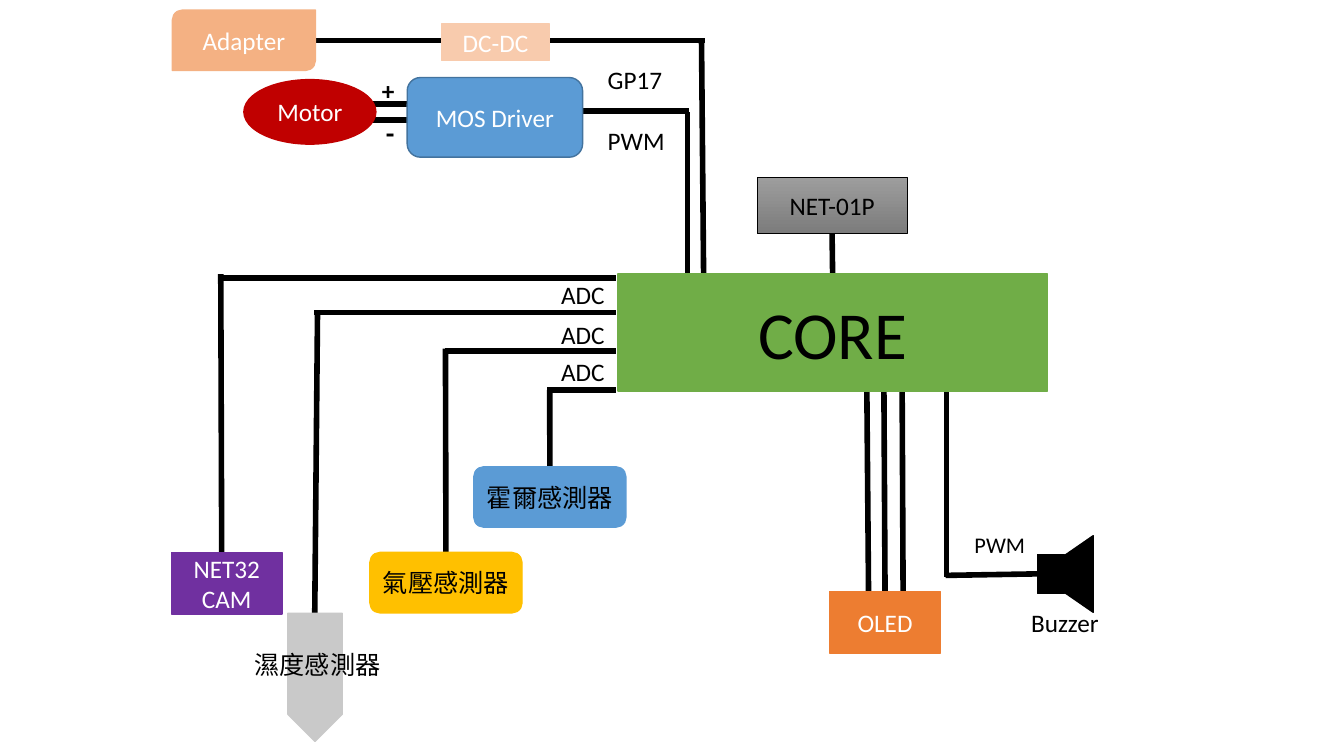
"""Draw the wiring diagram of a sensor board on one slide."""
from typing import NamedTuple

import lxml.etree
import pptx
import pptx.dml.color
import pptx.enum.shapes
import pptx.enum.text
import pptx.oxml.ns
import pptx.util

Pt = pptx.util.Pt
KIND = pptx.enum.shapes.MSO_SHAPE
ALIGN = pptx.enum.text.PP_ALIGN
BLACK, WHITE = "000000", "FFFFFF"


class Wire(NamedTuple):
    x1: float
    y1: float
    x2: float
    y2: float
    start: str = ""
    end: str = ""


class Part(NamedTuple):
    text: str
    kind: KIND
    left: float
    top: float
    width: float
    height: float
    fill: str
    ink: str = WHITE
    edge: str = ""
    turn: int = 0
    size: int = 18
    thick: float = 1
    fade: str = ""


class Label(NamedTuple):
    text: str
    left: float
    top: float
    width: float
    height: float
    size: int = 18
    bold: bool = False
    align: ALIGN = ALIGN.LEFT
    gap: float = 0
    wrap: bool = False


WIRES = [
    Wire(265, 85.7, 296, 85.7),
    Wire(263.5, 74.2, 295.2, 74.2),
    Wire(440, 223.2, 224.6, 223.2),
    Wire(440, 250.6, 318.2, 250.6),
    Wire(620.4, 422.6, 619.2, 280),
    Wire(632.2, 422.6, 631.4, 280, start="OLED"),
    Wire(645.1, 422.6, 644.4, 280),
    Wire(676.1, 411.8, 676.1, 279.4),
    Wire(675.4, 411, 753.8, 409.7),
    Wire(440, 278.6, 391, 278.6),
    Wire(392.7, 333.4, 392.7, 278.6, start="霍爾感測器"),
    Wire(318.5, 394.6, 318.2, 249.1, start="氣壓感測器"),
    Wire(224.6, 463.7, 226.8, 223.2),
    Wire(594.7, 195.8, 594.4, 167, start="CORE", end="NET-01P"),
    Wire(158.4, 406.8, 157.7, 195.8),
    Wire(157, 198.7, 440, 198.7),
    Wire(491, 195.8, 491, 79.9),
    Wire(408.2, 79.2, 492.5, 79.2),
    Wire(502.6, 196.6, 501.1, 28.1),
    Wire(503.3, 28.8, 219.6, 28.8),
]

PARTS = [
    Part("", KIND.ISOSCELES_TRIANGLE, 733.7, 390.2, 54.7, 39.6, BLACK, turn=270),
    Part("", KIND.RECTANGLE, 736.6, 400.3, 28.1, 19.4, BLACK, turn=270),
    Part("OLED", KIND.RECTANGLE, 592.6, 422.6, 79.2, 43.9, "ED7D31"),
    Part("霍爾感測器", KIND.ROUNDED_RECTANGLE, 338.4, 333.4, 108.7, 43.2, "5B9BD5", BLACK),
    Part("氣壓感測器", KIND.ROUNDED_RECTANGLE, 264.2, 394.6, 108.7, 43.2, "FFC000", BLACK),
    Part("", KIND.PENTAGON, 179.3, 464.4, 91.4, 38.9, "C9C9C9", turn=90),
    Part("NET-01P", KIND.RECTANGLE, 540.7, 126.7, 107.3, 40.3, "9D9D9D", BLACK,
         edge=BLACK, thick=0.5, fade="7C7C7C"),
    Part("NET32\nCAM", KIND.RECTANGLE, 122.4, 394.6, 79.2, 43.9, "7030A0"),
    Part("Motor", KIND.OVAL, 174.2, 56.9, 94.3, 46.1, "C00000"),
    Part("MOS Driver", KIND.ROUNDED_RECTANGLE, 290.9, 55.4, 125.3, 56.9, "5B9BD5",
         edge="43739E"),
    Part("Adapter", KIND.ROUND_2_DIAG_RECTANGLE, 123.1, 7.2, 102.2, 43.2, "F4B183"),
    Part("DC-DC", KIND.RECTANGLE, 315.4, 17.3, 77, 25.9, "F8CBAD"),
    Part("CORE", KIND.RECTANGLE, 441.4, 195.8, 306.7, 83.5, "70AD47", BLACK, size=48),
]

LABELS = [
    Label("Buzzer", 729.4, 430.6, 63.4, 28.8),
    Label("PWM", 689, 375.8, 51.1, 26.6, size=16),
    Label("濕度感測器", 174.2, 460.1, 105.1, 28.8, align=ALIGN.CENTER),
    *[Label("ADC", 393.8, top, 69.8, 28.8, wrap=True) for top in (195.8, 224.6, 251.3)],
    Label("+", 265.7, 50.4, 23.8, 28.8, bold=True),
    Label("-", 268.6, 79.2, 20.9, 31.7, size=20, bold=True),
    Label("GP17\nPWM", 427, 42.5, 55.4, 72.7, gap=21.6),
]


def hue(code: str) -> pptx.dml.color.RGBColor:
    """Turn a hex string into a colour."""
    return pptx.dml.color.RGBColor.from_string(code)


def style(frame, size: int, ink: str, align: ALIGN, bold: bool = False) -> None:
    """Format every run of a text frame."""
    for para in frame.paragraphs:
        para.alignment = align
        for run in para.runs:
            run.font.name = "Calibri"
            run.font.size = Pt(size)
            run.font.bold = bold
            run.font.color.rgb = hue(ink)


def add_wire(slide, wire: Wire):
    """Draw one thick black wire."""
    line = slide.shapes.add_connector(
        pptx.enum.shapes.MSO_CONNECTOR.STRAIGHT, *map(Pt, wire[:4]))
    line.line.color.rgb = hue(BLACK)
    line.line.width = Pt(4)
    lxml.etree.SubElement(line._element.spPr, pptx.oxml.ns.qn("a:effectLst"))
    return line


def add_part(slide, part: Part):
    """Draw one filled part with its centred name."""
    shape = slide.shapes.add_shape(part.kind, *map(Pt, part[2:6]))
    shape.shadow.inherit = False
    shape.rotation = part.turn
    if part.fade:
        shape.fill.gradient()
        shape.fill.gradient_angle = 270
        for stop, code in zip(shape.fill.gradient_stops, (part.fill, part.fade)):
            stop.color.rgb = hue(code)
    else:
        shape.fill.solid()
        shape.fill.fore_color.rgb = hue(part.fill)
    shape.line.color.rgb = hue(part.edge or part.fill)
    shape.line.width = Pt(part.thick)
    frame = shape.text_frame
    frame.text = part.text
    frame.vertical_anchor = pptx.enum.text.MSO_ANCHOR.MIDDLE
    style(frame, part.size, part.ink, ALIGN.CENTER)
    return shape


def add_label(slide, label: Label) -> None:
    """Write one free label."""
    frame = slide.shapes.add_textbox(*map(Pt, label[1:5])).text_frame
    frame.text = label.text
    frame.word_wrap = label.wrap
    frame.auto_size = pptx.enum.text.MSO_AUTO_SIZE.SHAPE_TO_FIT_TEXT
    style(frame, label.size, BLACK, label.align, label.bold)
    for para in frame.paragraphs[1:]:
        para.space_before = Pt(label.gap)


def main() -> None:
    """Build and save the slide."""
    deck = pptx.Presentation()
    deck.slide_width, deck.slide_height = Pt(960), Pt(540)
    slide = deck.slides.add_slide(deck.slide_layouts[6])
    lines = [add_wire(slide, wire) for wire in WIRES]
    shapes = {part.text: add_part(slide, part) for part in PARTS}
    for wire, line in zip(WIRES, lines):
        if wire.start:
            line.begin_connect(shapes[wire.start], 0)
        if wire.end:
            line.end_connect(shapes[wire.end], 2)
    for label in LABELS:
        add_label(slide, label)
    deck.save("out.pptx")


if __name__ == "__main__":
    main()
